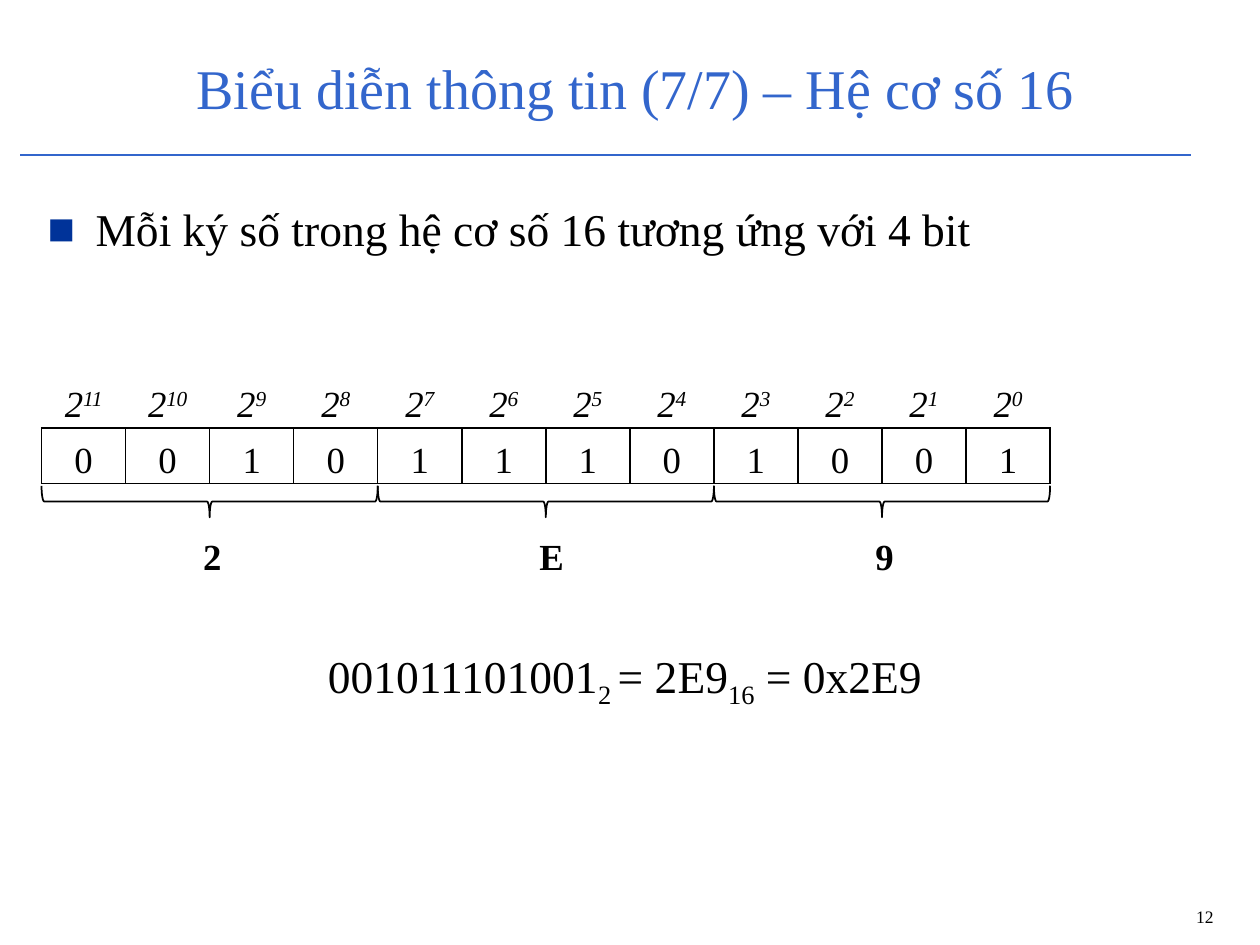
from lxml import etree
from pptx import Presentation
from pptx.dml.color import RGBColor
from pptx.enum.shapes import MSO_CONNECTOR, MSO_SHAPE
from pptx.enum.text import MSO_ANCHOR, PP_ALIGN
from pptx.oxml.ns import qn
from pptx.util import Inches, Pt

LEFT, CENTER, RIGHT = PP_ALIGN.LEFT, PP_ALIGN.CENTER, PP_ALIGN.RIGHT
JUSTIFY = PP_ALIGN.JUSTIFY
MIDDLE, TOP = MSO_ANCHOR.MIDDLE, MSO_ANCHOR.TOP
STRAIGHT, LEFT_BRACE = MSO_CONNECTOR.STRAIGHT, MSO_SHAPE.LEFT_BRACE

BLACK = RGBColor(0x00, 0x00, 0x00)
BLUE = RGBColor(0x33, 0x66, 0xCC)
NAVY = RGBColor(0x00, 0x33, 0x99)
NO_GRID = "{2D5ABB26-0587-4C30-8999-92F81FD0307C}"

BITS = "001011101001"
HEX_DIGITS = "2E9"
GRID_LEFT, GRID_TOP = 0.33, 2.96
CELL_W, CELL_H = 0.667, 0.4


class Deck:
    """Holds the text style and the current slide."""

    font = "Times New Roman"

    def __init__(self, prs):
        """Start a title-only slide."""
        self.slide = prs.slides.add_slide(prs.slide_layouts[5])
        self.shapes = self.slide.shapes

    def runs(self, p, parts, size, color=BLACK, bold=False, italic=False,
             align=LEFT):
        """Fill a paragraph with (text, baseline percent) parts."""
        p.alignment = align
        for text, baseline in parts:
            r = p.add_run()
            r.text = text
            f = r.font
            f.name, f.size, f.bold, f.italic = self.font, Pt(size), bold, italic
            f.color.rgb = color
            if baseline:
                r._r.get_or_add_rPr().set("baseline", str(baseline * 1000))

    def title(self, text, x, y, w, h):
        """Place and format the title placeholder."""
        sp = self.shapes.title
        sp.left, sp.top, sp.width, sp.height = map(Inches, (x, y, w, h))
        sp.text_frame.vertical_anchor = MIDDLE
        self.runs(sp.text_frame.paragraphs[0], [(text, 0)], 32, BLUE)

    def text(self, parts, x, y, w, h, size, **style):
        """Add a text box with one paragraph and return its frame."""
        sp = self.shapes.add_textbox(*map(Inches, (x, y, w, h)))
        tf = sp.text_frame
        tf.word_wrap = True
        tf.vertical_anchor = TOP
        self.runs(tf.paragraphs[0], parts, size, **style)
        return tf

    def bullet(self, p, char, color, indent):
        """Give a paragraph a coloured bullet with a hanging indent."""
        pPr = p._p.get_or_add_pPr()
        pPr.set("marL", str(Inches(indent)))
        pPr.set("indent", str(-Inches(indent)))
        clr = etree.SubElement(pPr, qn("a:buClr"))
        etree.SubElement(clr, qn("a:srgbClr"), val=str(color))
        etree.SubElement(pPr, qn("a:buFont"), typeface=self.font)
        etree.SubElement(pPr, qn("a:buChar"), char=char)

    def rule(self, x1, y1, x2, y2):
        """Add a thin straight line without a shadow."""
        ln = self.shapes.add_connector(STRAIGHT, *map(Inches, (x1, y1, x2, y2)))
        ln.line.color.rgb = BLUE
        ln.line.width = Pt(0.75)
        etree.SubElement(ln._element.spPr, qn("a:effectLst"))

    def brace(self, cx, cy, span, depth):
        """Add a downward brace centred on a point."""
        sp = self.shapes.add_shape(
            LEFT_BRACE, Inches(cx - depth / 2), Inches(cy - span / 2),
            Inches(depth), Inches(span))
        sp.rotation = 270
        sp.shadow.inherit = False
        sp.fill.background()
        sp.line.color.rgb = BLACK
        sp.line.width = Pt(1)

    def cell(self, cell, parts, italic, sides):
        """Fill one table cell and draw the given border sides."""
        cell.fill.background()
        cell.vertical_anchor = MIDDLE
        cell.margin_left = cell.margin_right = Inches(0.06)
        cell.margin_top = cell.margin_bottom = 0
        p = cell.text_frame.paragraphs[0]
        self.runs(p, parts, 21, italic=italic, align=CENTER)
        p.line_spacing, p.space_before = 1.25, Pt(6)
        for r in p.runs:
            r._r.get_or_add_rPr().set("spc", "-20")
        tcPr = cell._tc.get_or_add_tcPr()
        for i, side in enumerate(sides):
            ln = etree.Element(qn("a:ln" + side), w=str(Pt(1)))
            fill = etree.SubElement(ln, qn("a:solidFill"))
            etree.SubElement(fill, qn("a:srgbClr"), val=str(BLACK))
            tcPr.insert(i, ln)

    def bit_table(self, start, stop):
        """Add a table of powers of two above bits start to stop."""
        n = stop - start
        tbl = self.shapes.add_table(
            2, n, Inches(GRID_LEFT + start * CELL_W), Inches(GRID_TOP),
            Inches(n * CELL_W), Inches(2 * CELL_H)).table
        tbl.first_row = tbl.horz_banding = False
        tbl._tbl.tblPr.find(qn("a:tableStyleId")).text = NO_GRID
        for col in range(n):
            tbl.columns[col].width = Inches(CELL_W)
            i = start + col
            power = str(len(BITS) - 1 - i)
            self.cell(tbl.cell(0, col), [("2", 0), (power, 30)], True, "B")
            self.cell(tbl.cell(1, col), [(BITS[i], 0)], False, "LRTB")


def main():
    """Build the slide and save it."""
    prs = Presentation()
    prs.slide_width, prs.slide_height = Inches(10), Inches(7.5)
    s = Deck(prs)

    s.rule(0.16, 1.23, 9.45, 1.23)
    s.title("Biểu diễn thông tin (7/7) – Hệ cơ số 16", 1.46, 0.31, 8.04, 0.76)

    tf = s.text([("Mỗi ký số trong hệ cơ số 16 tương ứng với 4 bit", 0)],
                0.28, 1.55, 9.45, 5.28, 26, align=JUSTIFY)
    p = tf.paragraphs[0]
    p.space_before = Pt(3)
    s.bullet(p, "■", NAVY, 0.38)
    p = tf.add_paragraph()
    p.space_before = Pt(224)
    s.runs(p, [(BITS, 0), ("2 ", -25), ("= " + HEX_DIGITS, 0), ("16", -25),
               (" = 0x" + HEX_DIGITS + " ", 0)], 26, align=CENTER)

    s.text([("12", 0)], 7.81, 7.14, 1.92, 0.32, 10, align=RIGHT)

    s.bit_table(2, len(BITS))
    s.bit_table(0, 2)
    span = 4 * CELL_W
    for i, digit in enumerate(HEX_DIGITS):
        cx = GRID_LEFT + (i + 0.5) * span
        s.brace(cx, 3.98, span, 0.25)
        s.text([(digit, 0)], cx - 0.15, 4.19, 0.3, 0.45, 21, bold=True)

    prs.save("out.pptx")


main()
